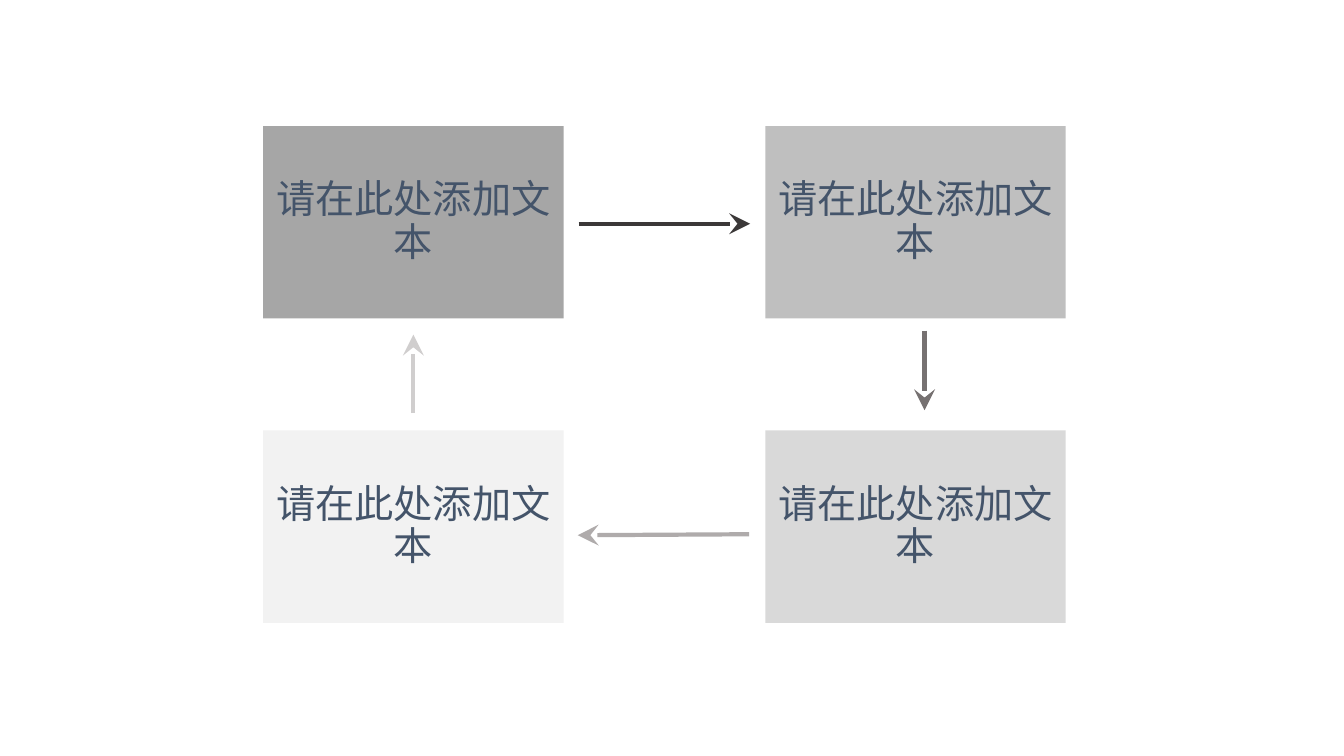
import pptx
import pptx.util
import pptx.dml.color
import pptx.enum.shapes
import pptx.enum.text
import pptx.oxml.ns
import lxml.etree

THEME = {
    "font": "Noto Sans CJK JP",
    "size": 28,
    "text": "44546A",
    "arrow_width": 3,
    "steps": ["A6A6A6", "BFBFBF", "D9D9D9", "F2F2F2"],
    "arrows": ["3B3838", "767171", "AFABAB", "D0CECE"],
}
inches = pptx.util.Inches
qn = pptx.oxml.ns.qn
rgb = pptx.dml.color.RGBColor.from_string


def write_text(frame, text, font, size, color):
    frame.word_wrap = True
    frame.vertical_anchor = pptx.enum.text.MSO_ANCHOR.MIDDLE
    paragraph = frame.paragraphs[0]
    paragraph.alignment = pptx.enum.text.PP_ALIGN.CENTER
    paragraph.line_spacing = 0.9
    paragraph.space_before = pptx.util.Pt(10)
    run = paragraph.add_run()
    run.text = text
    run.font.name = font
    run.font.size = pptx.util.Pt(size)
    run.font.color.rgb = rgb(color)
    lxml.etree.SubElement(run.font._element, qn("a:ea"), typeface=font)


deck = pptx.Presentation()
deck.slide_width, deck.slide_height = inches(13.33), inches(7.5)
cycle = deck.slides.add_slide(deck.slide_layouts[6])

# Grid of two columns and two rows
LEFT, TOP = 2.61, 1.25
STEP_WIDTH, STEP_HEIGHT = 2.98, 1.91
COLUMN_PITCH, ROW_PITCH = 4.98, 3.02
clockwise_cells = [(0, 0), (1, 0), (1, 1), (0, 1)]

# Arrows in the gaps, clockwise from the top
arrow_ends = [
    (5.74, 2.22, 7.44, 2.22),
    (9.17, 3.28, 9.17, 4.07),
    (7.43, 5.3, 5.73, 5.31),
    (4.1, 4.1, 4.1, 3.32),
]
for ends, color in zip(arrow_ends, THEME["arrows"]):
    arrow = cycle.shapes.add_connector(
        pptx.enum.shapes.MSO_CONNECTOR.STRAIGHT, *[inches(end) for end in ends])
    arrow.line.color.rgb = rgb(color)
    arrow.line.width = pptx.util.Pt(THEME["arrow_width"])
    lxml.etree.SubElement(arrow.line._get_or_add_ln(), qn("a:tailEnd"),
                          type="stealth", w="lg", len="lg")
    lxml.etree.SubElement(arrow._element.spPr, qn("a:effectLst"))

# Steps of the cycle
for (column, row), color in zip(clockwise_cells, THEME["steps"]):
    step = cycle.shapes.add_shape(
        pptx.enum.shapes.MSO_SHAPE.RECTANGLE,
        inches(LEFT + column * COLUMN_PITCH), inches(TOP + row * ROW_PITCH),
        inches(STEP_WIDTH), inches(STEP_HEIGHT))
    step.shadow.inherit = False
    step.fill.solid()
    step.fill.fore_color.rgb = rgb(color)
    step.line.fill.background()
    write_text(step.text_frame, "请在此处添加文本", font=THEME["font"],
               size=THEME["size"], color=THEME["text"])

deck.save("out.pptx")
